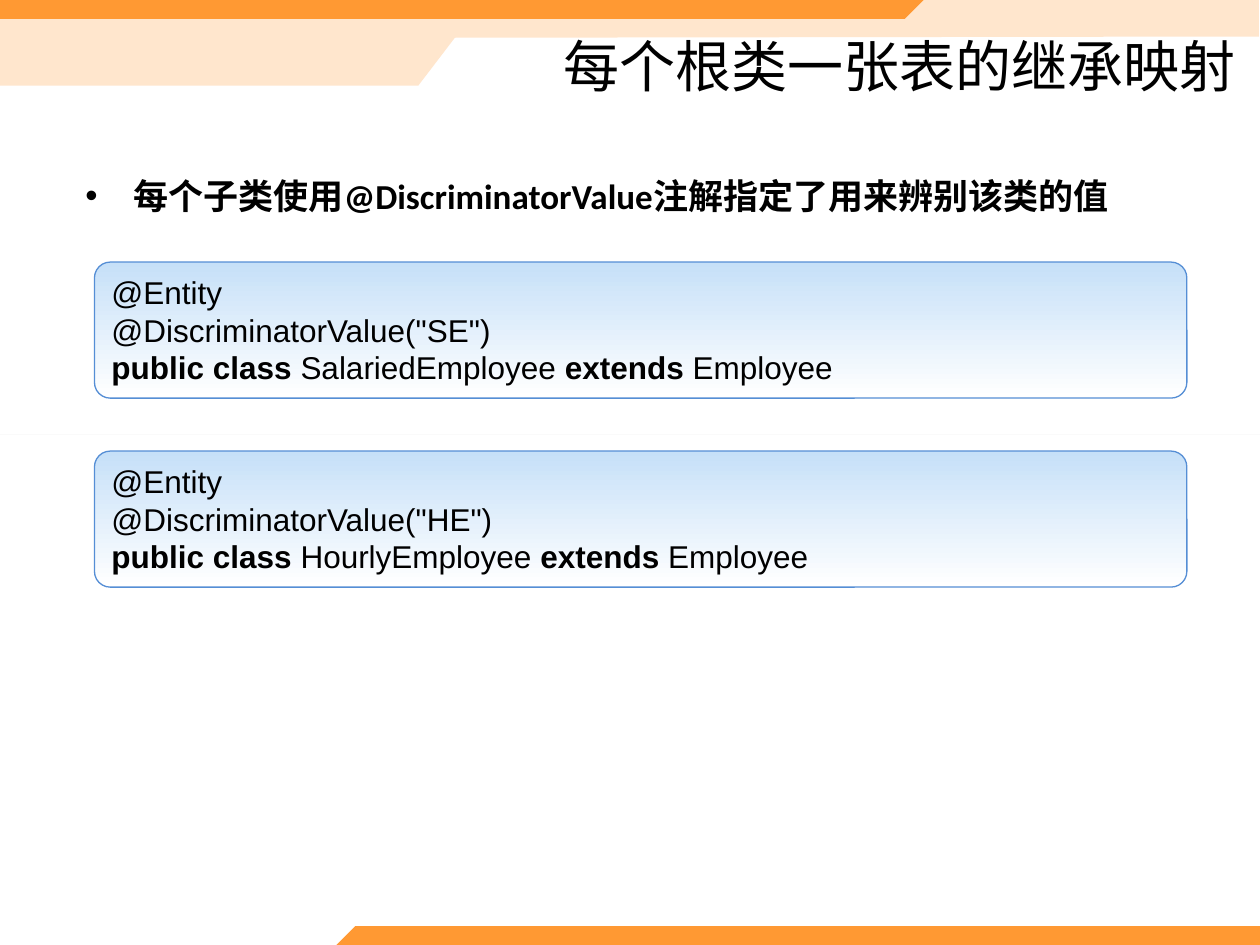
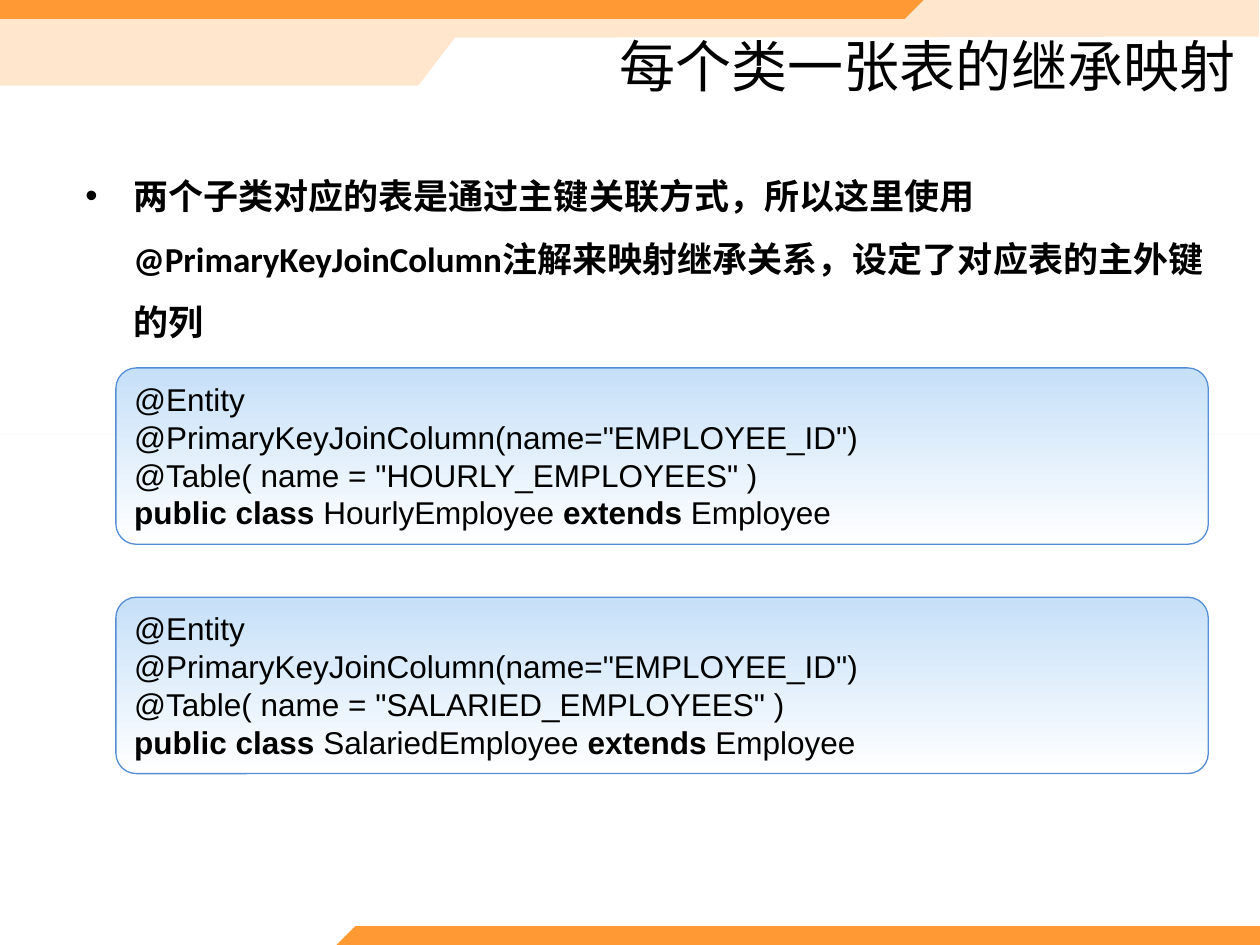
"""Build two slides on mapping class inheritance to tables."""
from lxml import etree
from pptx import Presentation
from pptx.dml.color import RGBColor
from pptx.enum.shapes import MSO_SHAPE
from pptx.enum.text import MSO_ANCHOR, MSO_AUTO_SIZE, PP_ALIGN
from pptx.oxml.ns import qn
from pptx.util import Inches, Pt

RECT, ROUND = MSO_SHAPE.RECTANGLE, MSO_SHAPE.ROUNDED_RECTANGLE
TOP, MIDDLE = MSO_ANCHOR.TOP, MSO_ANCHOR.MIDDLE
LEFT, RIGHT = PP_ALIGN.LEFT, PP_ALIGN.RIGHT
GROW = MSO_AUTO_SIZE.SHAPE_TO_FIT_TEXT

COLORS = {
    "text": "000000", "band": "FF9933", "pale": "FFE6CD", "rule": "D9D9D9",
    "code_top": "C6E0F8", "code_end": "FFFFFF", "edge": "558ED5",
}
BANDS = [
    ("pale", [(9.99, 0), (0, 0), (0, 0.68), (3.32, 0.68), (3.61, 0.3), (9.99, 0.29)]),
    ("band", [(7.33, 0), (7.18, 0.15), (0, 0.15), (0, 0)]),
    ("band", [(2.67, 7.5), (2.82, 7.35), (10, 7.35), (10, 7.5)]),
]
CODE_GAP = 0.42


def color(name):
    """Return the named colour."""
    return RGBColor.from_string(COLORS[name])


def paint(shape, fill):
    """Give a shape a plain fill without line or shadow."""
    shape.shadow.inherit = False
    shape.fill.solid()
    shape.fill.fore_color.rgb = color(fill)
    shape.line.fill.background()


def write(shape, lines, size, font, align=LEFT, anchor=TOP, bullet=False):
    """Fill a shape with lines, each a list of (text, bold) runs."""
    frame = shape.text_frame
    frame.word_wrap = True
    frame.vertical_anchor = anchor
    for i, line in enumerate(lines):
        para = frame.add_paragraph() if i else frame.paragraphs[0]
        para.alignment = align
        for text, bold in line:
            run = para.add_run()
            run.text = text
            run.font.size = Pt(size)
            run.font.name = font
            run.font.bold = bold
            run.font.color.rgb = color("text")
        if bullet:
            para.line_spacing = 1.5
            para.space_before = Pt(size * 0.2)
            props = para._p.get_or_add_pPr()
            props.set("marL", str(Inches(0.38)))
            props.set("indent", str(-Inches(0.38)))
            etree.SubElement(props, qn("a:buFont"), typeface="Arial")
            etree.SubElement(props, qn("a:buChar"), char="•")


def add_band(slide, fill, points):
    """Draw a slanted band through the points."""
    start, *rest = [(Inches(x), Inches(y)) for x, y in points]
    form = slide.shapes.build_freeform(*start)
    form.add_line_segments(rest, close=True)
    paint(form.convert_to_shape(), fill)


def add_text(slide, box, text, size, bold=False, **style):
    """Add a text box with one paragraph."""
    shape = slide.shapes.add_textbox(*map(Inches, box))
    write(shape, [[(text, bold)]], size, "Calibri", **style)


def add_code(slide, left, top, notes, name):
    """Add a code panel and return its height."""
    lines = [[(note, False)] for note in notes]
    lines.append([("public class", True), (f" {name} ", False),
                  ("extends", True), (" Employee", False)])
    height = 0.12 + 0.32 * len(lines)
    panel = slide.shapes.add_shape(ROUND, *map(Inches, (left, top, 8.67, height)))
    panel.adjustments[0] = 0.116
    panel.shadow.inherit = False
    panel.fill.gradient()
    panel.fill.gradient_angle = 270
    for stop, shade in zip(panel.fill.gradient_stops, ("code_top", "code_end")):
        stop.color.rgb = color(shade)
    panel.line.color.rgb = color("edge")
    panel.line.width = Pt(0.75)
    write(panel, lines, 18, "Arial")
    panel.text_frame.auto_size = GROW
    return height


def add_slide(deck, title, point, left, top, panels):
    """Add a slide with bands, title, bullet and stacked code panels."""
    slide = deck.slides.add_slide(deck.slide_layouts[6])
    for fill, points in BANDS:
        add_band(slide, fill, points)
    add_text(slide, (3.67, 0.28, 6.24, 0.47), title, 32, align=RIGHT, anchor=MIDDLE)
    add_text(slide, (0.58, 1.17, 9.08, 0.75), point, 20, bold=True, bullet=True)
    rule = slide.shapes.add_shape(RECT, *map(Inches, (0, 3.45, 10, 0)))
    paint(rule, "rule")
    for notes, name in panels:
        top += add_code(slide, left, top, notes, name) + CODE_GAP


def main():
    """Build and save the deck."""
    deck = Presentation()
    deck.slide_width, deck.slide_height = Inches(10), Inches(7.5)
    add_slide(
        deck, "每个根类一张表的继承映射",
        "每个子类使用@DiscriminatorValue注解指定了用来辨别该类的值",
        0.75, 2.08,
        [(["@Entity", f'@DiscriminatorValue("{mark}")'], name)
         for mark, name in (("SE", "SalariedEmployee"), ("HE", "HourlyEmployee"))])
    add_slide(
        deck, "每个类一张表的继承映射",
        "两个子类对应的表是通过主键关联方式，所以这里使用@PrimaryKeyJoinColumn"
        "注解来映射继承关系，设定了对应表的主外键的列",
        0.92, 2.92,
        [(["@Entity", '@PrimaryKeyJoinColumn(name="EMPLOYEE_ID")',
           f'@Table( name = "{table}_EMPLOYEES" )'], name)
         for table, name in (("HOURLY", "HourlyEmployee"),
                             ("SALARIED", "SalariedEmployee"))])
    deck.save("out.pptx")


if __name__ == "__main__":
    main()
